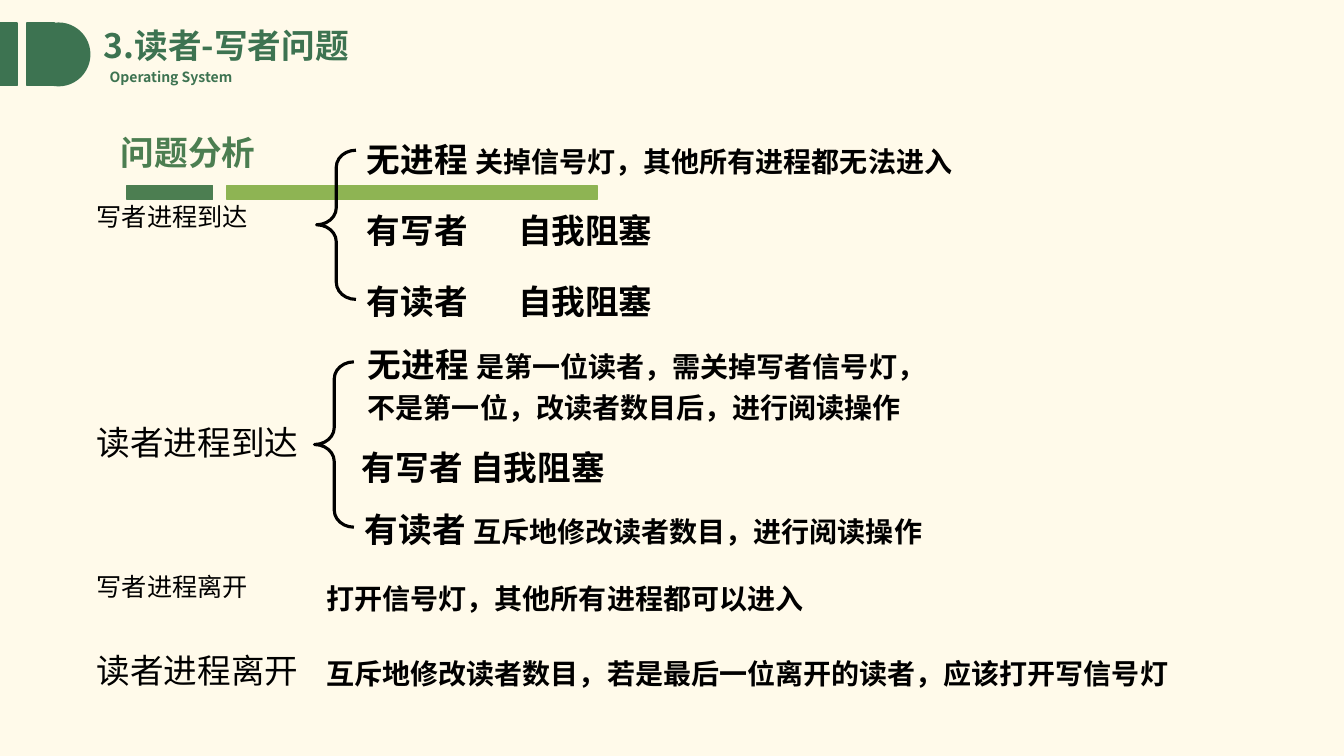
from dataclasses import dataclass

from lxml import etree
from pptx import Presentation
from pptx.dml.color import RGBColor
from pptx.enum.shapes import MSO_SHAPE
from pptx.enum.text import MSO_ANCHOR, MSO_AUTO_SIZE, PP_ALIGN
from pptx.oxml.ns import qn
from pptx.util import Pt

RECT, OVAL, BRACE = MSO_SHAPE.RECTANGLE, MSO_SHAPE.OVAL, MSO_SHAPE.LEFT_BRACE
TOP, MIDDLE = MSO_ANCHOR.TOP, MSO_ANCHOR.MIDDLE
LEFT, FIXED = PP_ALIGN.LEFT, MSO_AUTO_SIZE.NONE
SCALE = 9144  # EMU in one px, 100 px to the inch


@dataclass(frozen=True)
class Theme:
    paper: str = "FFFAEA"
    pine: str = "3D7351"
    moss: str = "4C7E51"
    lime: str = "8EB453"
    ink: str = "000000"
    sans: str = "Montserrat"
    han: str = "Noto Sans CJK SC"
    head: int = 24
    note: int = 20
    label: int = 18
    small: int = 10


def px(*nums):
    return [num * SCALE for num in nums]


def color(code):
    return RGBColor.from_string(code)


class Page:
    def __init__(self, deck, theme):
        self.theme = theme
        self.slide = deck.slides.add_slide(deck.slide_layouts[3])
        self.shapes = self.slide.shapes
        back = self.slide.background.fill
        back.solid()
        back.fore_color.rgb = color(theme.paper)

    def shape(self, kind, box, tint):
        item = self.shapes.add_shape(kind, *px(*box))
        item.shadow.inherit = False
        item.fill.solid()
        item.fill.fore_color.rgb = color(tint)
        item.line.color.rgb = color(tint)
        item.line.width = Pt(1)
        return item

    def brace(self, box):
        item = self.shape(BRACE, box, self.theme.ink)
        item.fill.background()
        item.line.width = Pt(2.25)
        item.adjustments[0] = 0.433
        item.adjustments[1] = 0.5

    def holder(self, index, box, words, **style):
        """Move a placeholder of the layout to box and fill it with words."""
        item = self.slide.placeholders[index]
        item.left, item.top, item.width, item.height = px(*box)
        self.put(item.text_frame, words, **style)

    def text(self, box, words, **style):
        item = self.shapes.add_textbox(*px(*box))
        self.put(item.text_frame, words, **style)

    def put(self, frame, words, size=24, font=None, tint=None, bold=True,
            space=1.0, wrap=True, anchor=TOP, tab=None):
        """Words are one string, or (string, size) parts on one paragraph."""
        frame.word_wrap = wrap
        frame.auto_size = FIXED
        frame.vertical_anchor = anchor
        para = frame.paragraphs[0]
        para.alignment = LEFT
        props = para._p.get_or_add_pPr()
        props.set("marL", "0")
        props.set("indent", "0")
        etree.SubElement(props, qn("a:buNone"))
        if tab:
            stops = etree.SubElement(props, qn("a:tabLst"))
            etree.SubElement(stops, qn("a:tab"), pos=str(tab * SCALE), algn="l")
        para.line_spacing = space
        para.space_before = Pt(0)
        parts = [(words, size)] if isinstance(words, str) else words
        for part, points in parts:
            for row, line in enumerate(part.split("\n")):
                if row:
                    para.add_line_break()
                run = para.add_run()
                run.text = line
                run.font.size = Pt(points)
                run.font.bold = bold
                run.font.color.rgb = color(tint or self.theme.ink)
                run.font.name = font or self.theme.sans
                etree.SubElement(run._r.get_or_add_rPr(), qn("a:ea"),
                                 typeface=self.theme.han)


def header(page):
    look = page.theme
    for kind, left, width in ((RECT, 0, 17), (RECT, 27, 27), (OVAL, 27, 62)):
        page.shape(kind, (left, 23, width, 62), look.pine)
    page.holder(0, (93, 22, 983, 50), "3.读者-写者问题", size=look.head,
                font=look.han, tint=look.pine, space=0.9, anchor=MIDDLE)
    page.text((99, 63, 147, 27), "Operating System", size=look.small,
              font=look.han, tint=look.pine, wrap=False)
    page.shape(RECT, (126, 184, 85, 14), look.moss)
    page.shape(RECT, (225, 184, 367, 14), look.lime)
    page.text((110, 126, 581, 50), "问题分析", size=look.head,
              font=look.han, tint=look.moss)


def labels(page):
    look = page.theme
    for index, top, words in ((1, 195, "写者进程到达"), (2, 562, "写者进程离开")):
        page.holder(index, (86, top, 249, 64), words, size=look.label,
                    font=look.han, bold=False)
    for top, words in ((414, "读者进程到达"), (640, "读者进程离开")):
        page.text((86, top, 221, 50), words, size=look.head, bold=False,
                  wrap=False)


def cases(page):
    look = page.theme
    page.brace((314, 149, 39, 148))
    page.brace((312, 359, 39, 164))
    pairs = (
        ((354, 125, 618, 64), "无进程 ", "关掉信号灯，其他所有进程都无法进入"),
        ((355, 328, 599, 95), "无进程 ",
         "是第一位读者，需关掉写者信号灯，\n不是第一位，改读者数目后，进行阅读操作"),
        ((352, 492, 626, 64), "有读者 ", "互斥地修改读者数目，进行阅读操作"),
    )
    for box, state, action in pairs:
        page.text(box, [(state, look.head), (action, look.note)], space=1.2)
    for top, state in ((195, "有写者"), (266, "有读者")):
        page.text((354, top, 323, 64), state + "\t自我阻塞", size=look.head,
                  space=1.2, tab=115)
    page.text((349, 430, 299, 64), "有写者 自我阻塞", size=look.head, space=1.2)
    exits = (
        ((314, 565, 618, 64), "打开信号灯，其他所有进程都可以进入"),
        ((314, 640, 905, 50),
         "互斥地修改读者数目，若是最后一位离开的读者，应该打开写信号灯"),
    )
    for box, words in exits:
        page.text(box, words, size=look.note, space=1.2)


def main():
    deck = Presentation()
    deck.slide_width, deck.slide_height = px(1333, 750)
    page = Page(deck, Theme())
    header(page)
    labels(page)
    cases(page)
    deck.save("out.pptx")


if __name__ == "__main__":
    main()
